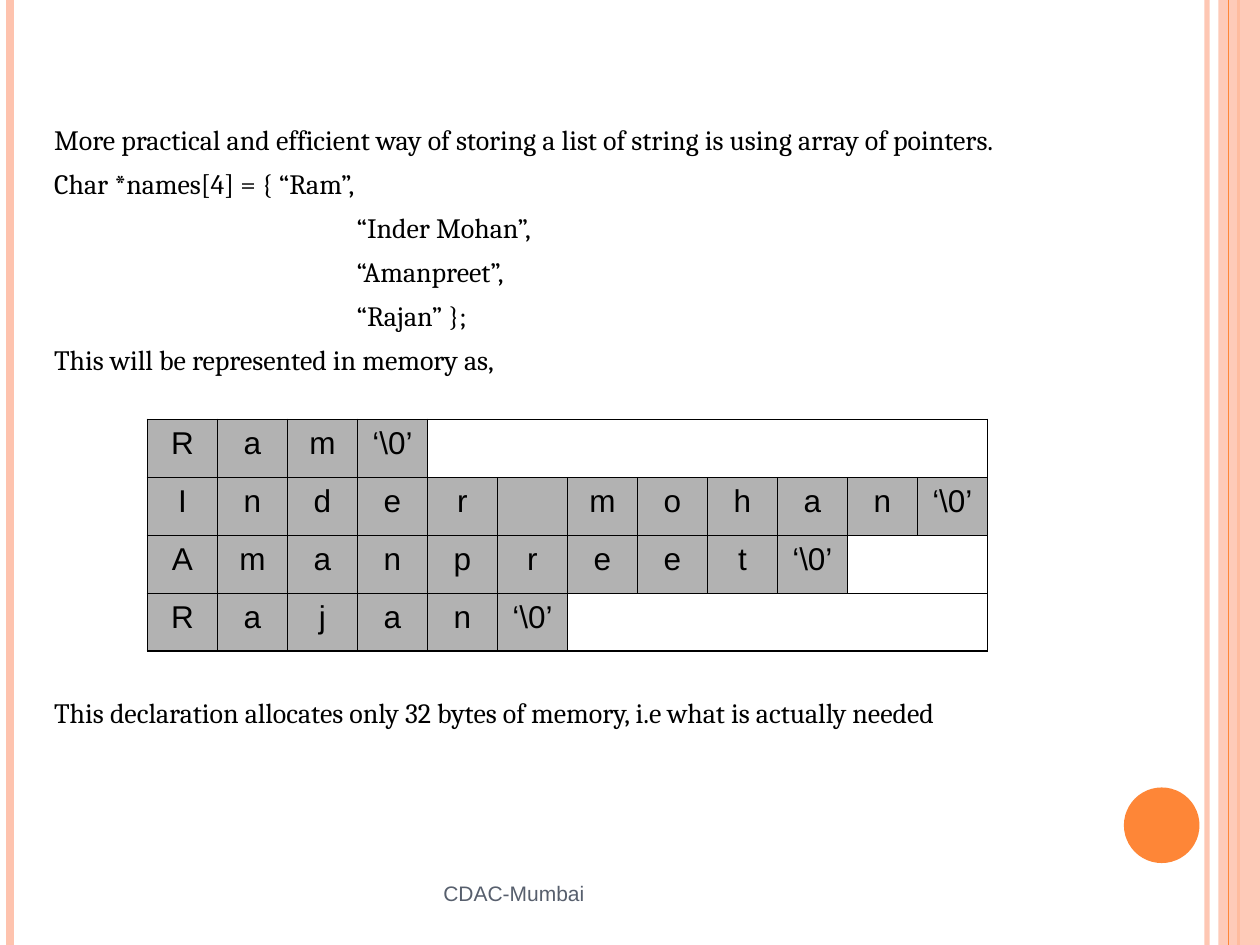
from dataclasses import dataclass
from typing import Any

from lxml import etree
from pptx import Presentation
from pptx.dml.color import RGBColor
from pptx.enum import shapes, text
from pptx.oxml import ns
from pptx.util import Inches, Pt


@dataclass(frozen=True)
class Theme:
    peach: str = "FEC3AE"
    orange: str = "FE8637"
    black: str = "000000"
    gray: str = "B2B2B2"
    slate: str = "575F6D"
    serif: str = "Cambria"
    sans: str = "Arial"
    body_size: float = 16
    cell_size: float = 18
    footer_size: float = 12
    outer_border: float = 1.08
    inner_border: float = 0.45


@dataclass(frozen=True)
class Stripe:
    x: float
    color: str
    width: float
    opacity: int = 100


@dataclass(frozen=True)
class Line:
    words: str
    margin: float = 0.3
    indent: float = -0.3
    before: float = 6


THEME = Theme()
LEFT_STRIPES = (
    Stripe(9.58, THEME.peach, 3, 93),
    Stripe(0.08, THEME.peach, 4.5),
    Stripe(9.83, THEME.orange, 1.5),
)
BAND_STRIPE = Stripe(9.75, THEME.orange, 0.75)
LINES = (
    Line("More practical and efficient way of storing a list of string is using array of pointers.", before=0),
    Line("Char *names[4] = { “Ram”,"),
    Line("“Inder Mohan”,", 2.4, 0),
    Line("“Amanpreet”,", 2.4, 0),
    Line("“Rajan” };", 2.4, 0),
    Line("This will be represented in memory as,"),
    Line("This declaration allocates only 32 bytes of memory, i.e what is actually needed", before=182.4),
)
NAMES = ("Ram", "Inder mohan", "Amanpreet", "Rajan")
TERMINATOR = "‘\\0’"
COLUMNS = max(map(len, NAMES)) + 1


def apply(target: Any, values: dict[str, Any]) -> None:
    for name, value in values.items():
        setattr(target, name, value)


def style_font(font: Any, face: str, size: float, color: str) -> None:
    apply(font, {"name": face, "size": Pt(size)})
    font.color.rgb = RGBColor.from_string(color)


def set_opacity(fill: Any, percent: int) -> None:
    for color in fill.iter(ns.qn("a:srgbClr")):
        etree.SubElement(color, ns.qn("a:alpha"), val=str(percent * 1000))


def draw_stripe(page: Any, stripe: Stripe) -> None:
    x = Inches(stripe.x)
    line = page.shapes.add_connector(shapes.MSO_CONNECTOR.STRAIGHT, x, 0, x, Inches(7.5))
    line.line.width = Pt(stripe.width)
    line.line.color.rgb = RGBColor.from_string(stripe.color)
    properties = line._element.spPr
    if stripe.opacity < 100:
        set_opacity(properties, stripe.opacity)
    etree.SubElement(properties, ns.qn("a:effectLst"))


def draw_shape(page: Any, kind: Any, at: tuple, color: str, opacity: int = 100) -> None:
    shape = page.shapes.add_shape(kind, *map(Inches, at))
    shape.shadow.inherit = False
    shape.fill.solid()
    shape.fill.fore_color.rgb = RGBColor.from_string(color)
    shape.line.fill.background()
    if opacity < 100:
        set_opacity(shape._element.spPr, opacity)


def write_body(box: Any) -> None:
    apply(box, {"left": Inches(0.33), "top": Inches(0.92), "width": Inches(9), "height": Inches(5.78)})
    frame = box.text_frame
    apply(frame, {"word_wrap": True, "auto_size": text.MSO_AUTO_SIZE.NONE})
    for index, line in enumerate(LINES):
        para = frame.add_paragraph() if index else frame.paragraphs[0]
        para.text = line.words
        properties = para._p.get_or_add_pPr()
        properties.set("marL", str(Inches(line.margin)))
        properties.set("indent", str(Inches(line.indent)))
        etree.SubElement(properties, ns.qn("a:buNone"))
        para.space_before = Pt(line.before)
        style_font(para.font, THEME.serif, THEME.body_size, THEME.black)


def set_borders(cell: Any, widths: dict[str, float]) -> None:
    properties = cell._tc.get_or_add_tcPr()
    for index, (side, width) in enumerate(widths.items()):
        border = etree.Element(ns.qn(f"a:ln{side}"), w=str(Pt(width)))
        fill = etree.SubElement(border, ns.qn("a:solidFill"))
        etree.SubElement(fill, ns.qn("a:srgbClr"), val=THEME.black)
        properties.insert(index, border)


def border_width(is_outer: bool) -> float:
    return THEME.outer_border if is_outer else THEME.inner_border


def draw_memory(page: Any) -> None:
    frame = page.shapes.add_table(
        len(NAMES), COLUMNS, Inches(1.17), Inches(3.33), Inches(6.67), Inches(1.84)
    )
    table = frame.table
    apply(table, {"first_row": False, "horz_banding": False})
    for row, name in enumerate(NAMES):
        symbols = [*name, TERMINATOR]
        used = len(symbols)
        if used < COLUMNS:
            table.cell(row, used).merge(table.cell(row, COLUMNS - 1))
        for column in range(COLUMNS):
            cell = table.cell(row, column)
            if column < used:
                cell.fill.solid()
                cell.fill.fore_color.rgb = RGBColor.from_string(THEME.gray)
                para = cell.text_frame.paragraphs[0]
                para.text = symbols[column].strip()
                para.alignment = text.PP_ALIGN.CENTER
                style_font(para.font, THEME.sans, THEME.cell_size, THEME.black)
            else:
                cell.fill.background()
            set_borders(cell, {
                "L": border_width(column == 0),
                "R": border_width(column >= min(used, COLUMNS - 1)),
                "T": border_width(row == 0),
                "B": border_width(row == len(NAMES) - 1),
            })


def draw_footer(page: Any) -> None:
    box = page.shapes.add_textbox(Inches(3.42), Inches(6.83), Inches(3.17), Inches(0.52))
    apply(box.text_frame, {"word_wrap": True, "vertical_anchor": text.MSO_ANCHOR.MIDDLE})
    para = box.text_frame.paragraphs[0]
    para.text = "CDAC-Mumbai"
    style_font(para.font, THEME.sans, THEME.footer_size, THEME.slate)


def main() -> None:
    deck = Presentation()
    apply(deck, {"slide_width": Inches(10), "slide_height": Inches(7.5)})
    page = deck.slides.add_slide(deck.slide_layouts[1])
    title, body = page.placeholders
    title._element.getparent().remove(title._element)
    for stripe in LEFT_STRIPES:
        draw_stripe(page, stripe)
    draw_shape(page, shapes.MSO_SHAPE.RECTANGLE, (9.67, 0, 0.33, 7.5), THEME.peach, 87)
    draw_stripe(page, BAND_STRIPE)
    draw_shape(page, shapes.MSO_SHAPE.OVAL, (8.92, 6.25, 0.6, 0.6), THEME.orange)
    write_body(body)
    draw_memory(page)
    draw_footer(page)
    deck.save("out.pptx")


if __name__ == "__main__":
    main()
